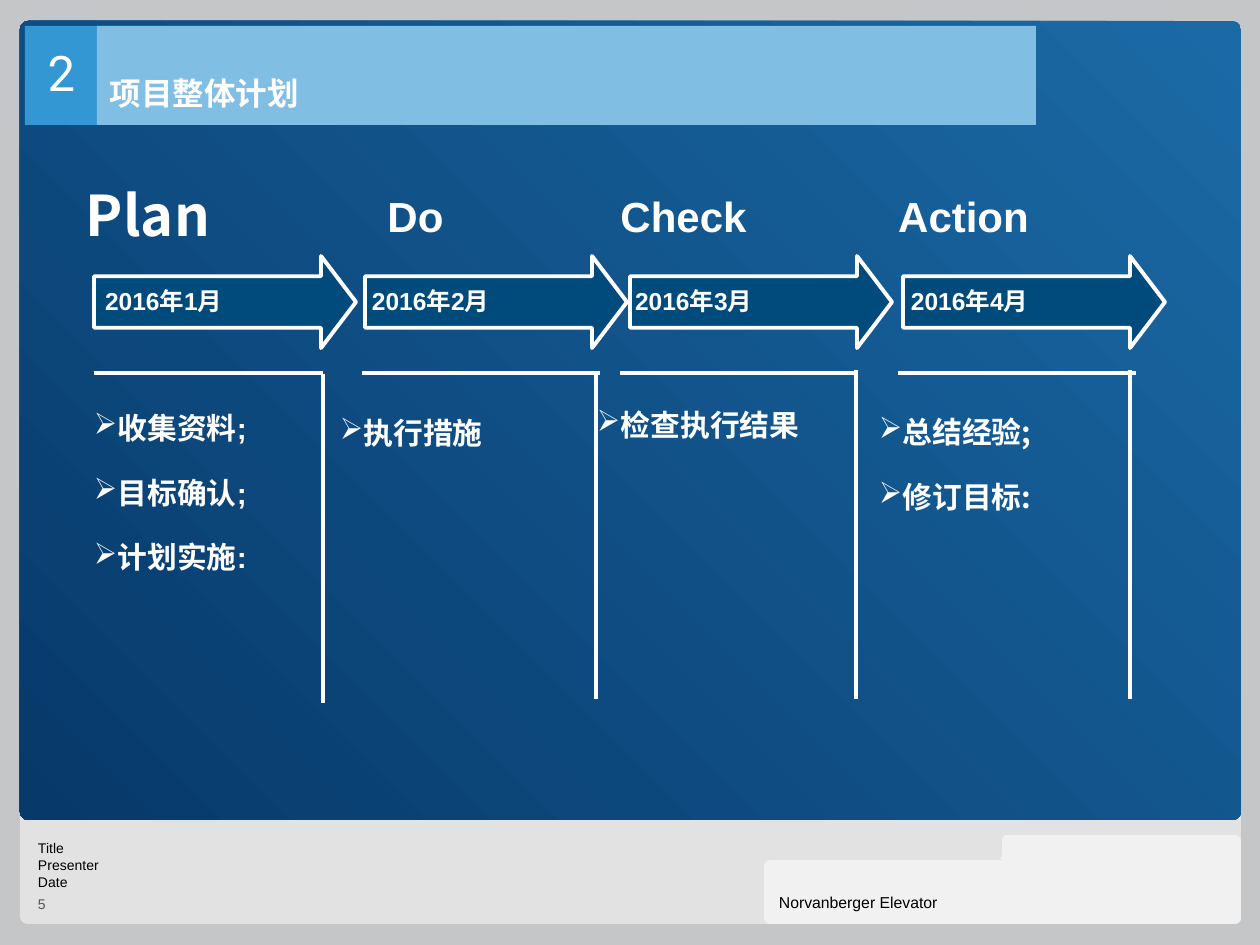
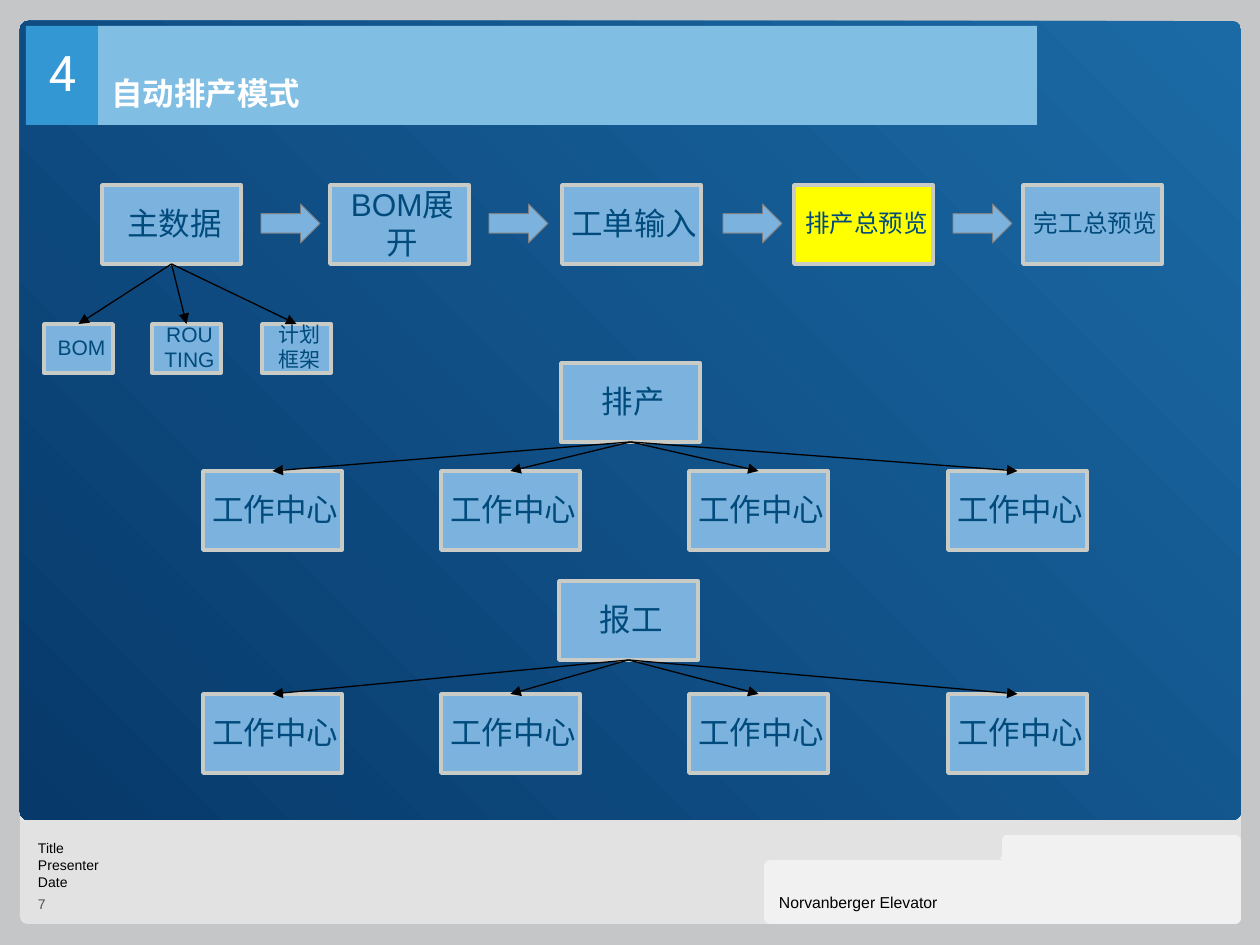
from pptx import Presentation
from pptx.dml.color import RGBColor
from pptx.enum import shapes, text
from pptx.oxml import parse_xml
from pptx.oxml.ns import nsdecls, qn
from pptx.util import Pt

PX = 7257
WHITE = RGBColor(0xFF, 0xFF, 0xFF)
BLACK = RGBColor(0x00, 0x00, 0x00)
NAVY = RGBColor(0x00, 0x4B, 0x7C)
PANEL_DARK = RGBColor(0x07, 0x39, 0x6A)
PANEL_LIGHT = RGBColor(0x1B, 0x6A, 0xA6)
NUMBER_BLUE = RGBColor(0x33, 0x97, 0xD3)
TITLE_BLUE = RGBColor(0x80, 0xBE, 0xE4)
BOX_BLUE = RGBColor(0x7C, 0xB2, 0xDE)
YELLOW = RGBColor(0xFF, 0xFF, 0x00)
FRAME = RGBColor(0xC5, 0xC6, 0xC8)
BORDER = RGBColor(0xC9, 0xCB, 0xC7)
FOOTER = RGBColor(0xE2, 0xE2, 0xE2)
TAB = RGBColor(0xF1, 0xF1, 0xF1)
GREY = RGBColor(0x80, 0x80, 0x80)
PAGE_GREY = RGBColor(0x51, 0x51, 0x51)
CJK = "Noto Sans CJK SC"
RECT = shapes.MSO_SHAPE.RECTANGLE
ROUND = shapes.MSO_SHAPE.ROUNDED_RECTANGLE
ARROW = shapes.MSO_SHAPE.RIGHT_ARROW
CENTER = text.PP_ALIGN.CENTER
TOP, MIDDLE, BOTTOM = (text.MSO_ANCHOR.TOP, text.MSO_ANCHOR.MIDDLE,
                       text.MSO_ANCHOR.BOTTOM)


def draw(page, kind, place, fill, line=None, width=1, adjust=()):
    box = page.shapes.add_shape(kind, *[n * PX for n in place])
    box.shadow.inherit = False
    box.fill.solid()
    box.fill.fore_color.rgb = fill
    if line is None:
        box.line.fill.background()
    else:
        box.line.color.rgb = line
        box.line.width = Pt(width)
    for index, value in enumerate(adjust):
        box.adjustments[index] = value
    return box


def write(target, words, place=None, size=18, colour=WHITE, font="Arial", bold=False,
          align=None, anchor=TOP, inset=(0, 0, 0, 0), spacing=None, bullet=None):
    if place:
        target = target.shapes.add_textbox(*[n * PX for n in place])
    frame = target.text_frame
    frame.word_wrap = True
    frame.vertical_anchor = anchor
    (frame.margin_left, frame.margin_top,
     frame.margin_right, frame.margin_bottom) = [n * PX for n in inset]
    for index, line in enumerate(words.split("\n")):
        para = frame.add_paragraph() if index else frame.paragraphs[0]
        para.alignment = align or text.PP_ALIGN.LEFT
        if spacing:
            para.line_spacing = spacing
        if bullet:
            if index:
                para.space_before = Pt(16.5)
            settings = para._p.get_or_add_pPr()
            settings.set("marL", str(23 * PX))
            settings.set("indent", str(-23 * PX))
            settings.append(parse_xml(f'<a:buChar {nsdecls("a")} char="{bullet}"/>'))
        span = para.add_run()
        span.text = line
        span.font.size = Pt(size)
        span.font.bold = bold
        span.font.color.rgb = colour
        span.font.name = font
        span._r.get_or_add_rPr().append(
            parse_xml(f'<a:ea {nsdecls("a")} typeface="{CJK}"/>'))


deck = Presentation()
deck.slide_width, deck.slide_height = 1260 * PX, 945 * PX
pages = []
strokes = []

for left, section, title, number in [(25, "2", "项目整体计划", "5"),
                                     (26, "4", "自动排产模式", "7")]:
    page = deck.slides.add_slide(deck.slide_layouts[6])
    pages.append(page)
    page.background.fill.solid()
    page.background.fill.fore_color.rgb = FRAME

    draw(page, ROUND, (20, 777, 1221, 147), FOOTER, adjust=[0.05])
    panel = draw(page, ROUND, (20, 21, 1221, 799), PANEL_DARK, adjust=[0.01])
    panel.fill.gradient()
    for stop, colour in zip(panel.fill.gradient_stops, (PANEL_DARK, PANEL_LIGHT)):
        stop.color.rgb = colour
    panel.fill.gradient_stops[0].position = 0
    panel.fill.gradient_stops[1].position = 1
    gradient = panel._element.spPr.find(qn("a:gradFill"))
    gradient.replace(gradient.find(qn("a:lin")), parse_xml(
        f'<a:path {nsdecls("a")} path="circle">'
        '<a:fillToRect t="100000" r="100000"/></a:path>'))

    for kind, place, colour, adjust in [
            (ROUND, (1002, 835, 239, 89), TAB, [0.06]),
            (ROUND, (764, 860, 253, 64), TAB, [0.1]),
            (RECT, (988, 849, 15, 10), TAB, []),
            (ROUND, (764, 835, 238, 25), FOOTER, [0.22])]:
        draw(page, kind, place, colour, adjust=adjust)
    write(page, "Norvanberger Elevator", (779, 873, 223, 39), size=9, colour=BLACK,
          anchor=BOTTOM, inset=(0, 1, 0, 0))
    write(page, "Title\nPresenter\nDate", (38, 840, 421, 52), size=8, colour=BLACK)
    write(page, number, (38, 896, 421, 17), size=8, colour=PAGE_GREY)

    badge = draw(page, RECT, (left, 26, 73, 99), NUMBER_BLUE)
    write(badge, section, size=28, font="Roboto", align=CENTER, anchor=MIDDLE,
          inset=(13, 6, 13, 13))
    band = draw(page, RECT, (left + 72, 26, 939, 99), TITLE_BLUE)
    write(band, title, font="Roboto", bold=True, anchor=BOTTOM,
          inset=(13, 6, 13, 13), spacing=2)

plan_page, flow_page = pages

for words, place, size, font, align in [
        ("Plan", (73, 174, 165, 81), 32, CJK, None),
        ("Do", (291, 185, 249, 63), 24, "Arial", CENTER),
        ("Check", (573, 185, 221, 63), 24, "Arial", CENTER),
        ("Action", (853, 185, 221, 63), 24, "Arial", CENTER)]:
    write(plan_page, words, place, size=size, font=font, bold=True, align=align,
          inset=(13, 6, 13, 6))

stages = [
    (94, 105, (94, 410), "收集资料;\n目标确认;\n计划实施:", "Arial", (94, 323), (323, 374, 703)),
    (365, 372, (340, 415), "执行措施", CJK, (362, 600), (596, 374, 699)),
    (630, 635, (597, 407), "检查执行结果", CJK, (620, 858), (856, 370, 699)),
    (903, 911, (879, 414), "总结经验;\n修订目标:", CJK, (898, 1136), (1130, 370, 699))]
for month, (left, date_left, corner, tasks, font, rule, post) in enumerate(stages, 1):
    draw(plan_page, ARROW, (left, 256, 262, 92), NAVY, WHITE, 2.25, [0.56, 0.38])
    write(plan_page, f"2016年{month}月", (date_left, 286, 236, 30), size=14, bold=True,
          anchor=MIDDLE)
    write(plan_page, tasks, (*corner, 240, 190), size=17, font=font, bold=True,
          bullet="➢")
    x, top, bottom = post
    strokes.append((plan_page, (rule[0], 373, rule[1], 373), WHITE, 2.25, None))
    strokes.append((plan_page, (x, top, x, bottom), WHITE, 2.25, None))

centres = [203, 441, 689, 948]
nodes = [("主数据", 102, 185, 18), ("BOM展开", 330, 185, 18),
         ("工单输入", 562, 185, 18), ("排产总预览", 794, 185, 14),
         ("完工总预览", 1023, 185, 14),
         ("BOM", 44, 324, 12), ("ROUTING", 152, 324, 12), ("计划框架", 262, 324, 12),
         ("排产", 561, 363, 18), *[("工作中心", x, 471, 18) for x in centres],
         ("报工", 559, 581, 18), *[("工作中心", x, 694, 18) for x in centres]]
boxes = []
for words, left, top, size in nodes:
    extent = (69, 49) if size == 12 else (139, 79)
    fill = YELLOW if words == "排产总预览" else BOX_BLUE
    box = draw(flow_page, RECT, (left, top, *extent), fill, BORDER, 2)
    write(box, words, size=size, colour=NAVY, align=CENTER, anchor=MIDDLE,
          inset=(8, 10, 2, 13))
    boxes.append(box)
for left in (261, 489, 723, 953):
    draw(flow_page, ARROW, (left, 204, 59, 39), BOX_BLUE, GREY, 0.5)
for parent, children in [(0, boxes[5:8]), (8, boxes[9:13]), (13, boxes[14:])]:
    for child in children:
        strokes.append((flow_page, (0, 0, 0, 0), BLACK, 0.75, (boxes[parent], child)))

for page, ends, colour, width, joined in strokes:
    stroke = page.shapes.add_connector(shapes.MSO_CONNECTOR.STRAIGHT,
                                       *[n * PX for n in ends])
    stroke.line.color.rgb = colour
    stroke.line.width = Pt(width)
    stroke._element.spPr.append(parse_xml(f'<a:effectLst {nsdecls("a")}/>'))
    if joined:
        stroke.begin_connect(joined[0], 2)
        stroke.end_connect(joined[1], 0)
        stroke.line._get_or_add_ln().append(
            parse_xml(f'<a:tailEnd {nsdecls("a")} type="triangle"/>'))

deck.save("out.pptx")
